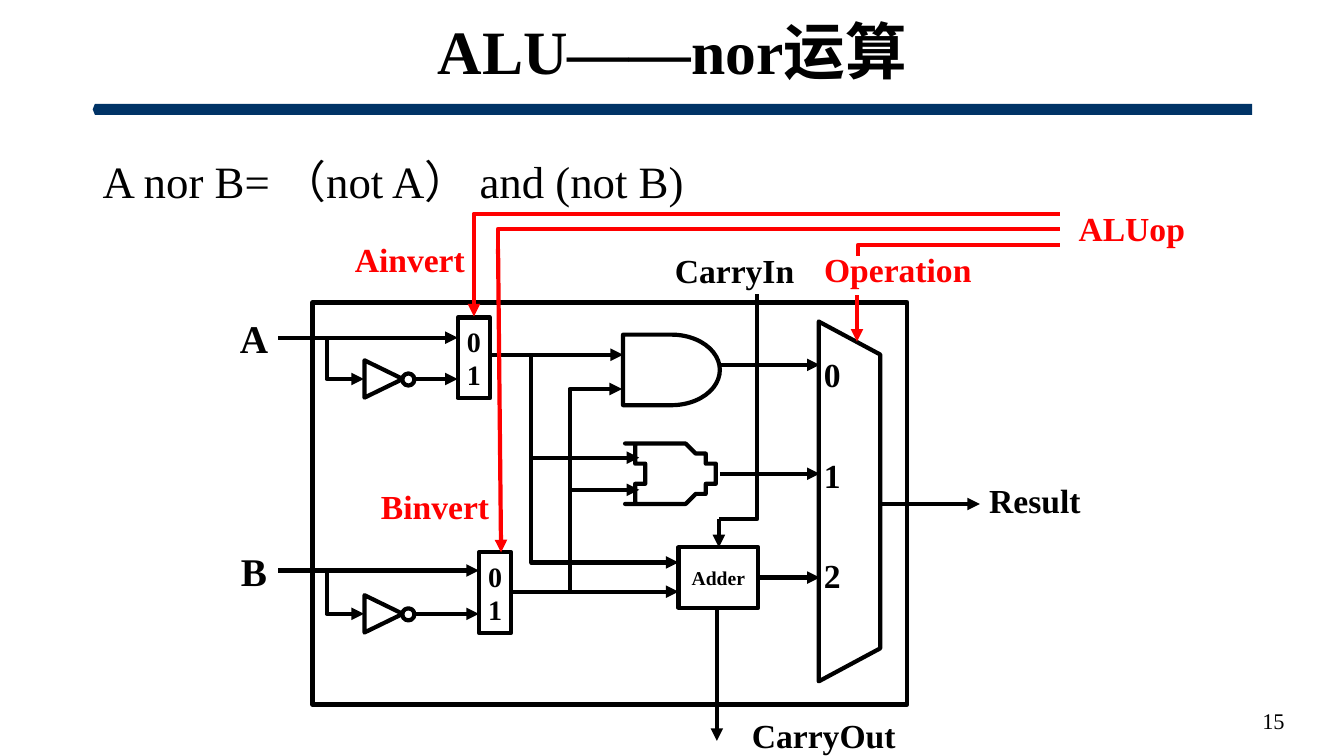
from lxml.etree import SubElement
from pptx import Presentation
from pptx.dml.color import RGBColor
from pptx.enum.shapes import MSO_CONNECTOR, MSO_SHAPE
from pptx.enum.text import MSO_ANCHOR, PP_ALIGN
from pptx.oxml.ns import qn
from pptx.util import Inches, Pt

THEME = {
    "font": "Times New Roman",
    "ink": RGBColor(0, 0, 0), "control": RGBColor(255, 0, 0),
    "paper": RGBColor(255, 255, 255), "bar": RGBColor(0, 51, 102),
    "title": 44, "body": 32, "input": 28, "label": 24, "mux": 20, "page": 16, "adder": 14,
    "stroke": Pt(3),
}
CELL = Inches(0.1)
COLS, ROWS = 133.3, 75

deck = Presentation()
deck.slide_width, deck.slide_height = int(COLS * CELL), int(ROWS * CELL)
slide = deck.slides.add_slide(deck.slide_layouts[6])
shapes = slide.shapes


def write(holder, lines, size, color="ink", bold=True, align=PP_ALIGN.CENTER,
          anchor=MSO_ANCHOR.MIDDLE, inset=0, wrap=False, spacing=1.0):
    frame = holder.text_frame
    frame.word_wrap, frame.vertical_anchor = wrap, anchor
    frame.margin_left = frame.margin_right = int(inset * CELL)
    frame.margin_top = frame.margin_bottom = int(inset * CELL / 2)
    for number, line in enumerate(lines):
        paragraph = frame.add_paragraph() if number else frame.paragraphs[0]
        paragraph.alignment, paragraph.line_spacing = align, spacing
        run = paragraph.add_run()
        run.text = line
        run.font.name, run.font.size, run.font.bold = THEME["font"], Pt(THEME[size]), bold
        run.font.color.rgb = THEME[color]


def wire(start, end, color="ink", arrow=True):
    straight = start[0] == end[0] or start[1] == end[1] or abs(start[0] - end[0]) < 0.5
    kind = MSO_CONNECTOR.STRAIGHT if straight else MSO_CONNECTOR.ELBOW
    link = shapes.add_connector(kind, *(int(n * CELL) for n in (*start, *end)))
    link.line.color.rgb, link.line.width = THEME[color], THEME["stroke"]
    properties = link._element.spPr
    if not straight:
        guides = properties.find(qn("a:prstGeom")).find(qn("a:avLst"))
        SubElement(guides, qn("a:gd"), name="adj1", fmla="val 0")
    if arrow:
        SubElement(properties.find(qn("a:ln")), qn("a:tailEnd"), type="triangle")
    SubElement(properties, qn("a:effectLst"))


bar = shapes.add_shape(MSO_SHAPE.PENTAGON, *(int(n * CELL) for n in (9.2, 10.3, 115, 1.1)))
bar.adjustments[0] = 0.2
bar._element.spPr.find(qn("a:xfrm")).set("flipH", "1")
bar.shadow.inherit = False
bar.fill.solid()
bar.fill.fore_color.rgb = THEME["bar"]
bar.line.fill.background()

headings = [
    ((9.2, 1.3, 115, 8.2), "ALU——nor运算",
     dict(size="title", spacing=0.9)),
    ((9.2, 12.1, 115, 55.5), "A nor B= （not A） and (not B)",
     dict(size="body", bold=False, align=PP_ALIGN.LEFT, anchor=MSO_ANCHOR.TOP, spacing=1.5)),
    ((98.4, 69.5, 30, 4), "15",
     dict(size="page", bold=False, align=PP_ALIGN.RIGHT)),
]
for box, text, style in headings:
    write(shapes.add_textbox(*(int(n * CELL) for n in box)), [text], inset=1, wrap=True, **style)

inputs = [("A", 45.4, 31.5, 33.5), ("B", 47.5, 54.8, 56.6)]
parts = [
    (MSO_SHAPE.RECTANGLE, (31, 30, 59, 39.9), 0, []),
    (MSO_SHAPE.FLOWCHART_DELAY, (61.8, 33.2, 9.6, 7), 0, []),
    (MSO_SHAPE.RECTANGLE, (67.3, 54.3, 7.9, 6), 0, ["Adder"]),
    (MSO_SHAPE.TRAPEZOID, (66.4, 46.7, 35.7, 6.1), 90, []),
]
for name, mux_left, mux_top, input_row in inputs:
    parts += [
        (MSO_SHAPE.ISOSCELES_TRIANGLE, (36.2, mux_top + 4.2, 3.7, 3.8), 90, []),
        (MSO_SHAPE.OVAL, (39.9, mux_top + 5.55, 1.2, 1.2), 0, []),
        (MSO_SHAPE.RECTANGLE, (mux_left, mux_top, 3.2, 8), 0, ["0", "1"]),
    ]

or_curves = [
    ((61.8, 43.5), (67.2, 43.4), (71.4, 45.5), (71.4, 47)),
    ((71.4, 47), (71.4, 48.5), (67, 50.4), (61.8, 50.5)),
    ((61.8, 50.5), (63.4, 49), (63.5, 48.2), (63.7, 46.9)),
    ((63.7, 46.9), (63.6, 45.6), (63.4, 45), (61.8, 43.5)),
]
STEPS = 16
outline = [
    tuple(a * (1 - t) ** 3 + 3 * b * t * (1 - t) ** 2 + 3 * c * t * t * (1 - t) + d * t ** 3
          for a, b, c, d in zip(*curve))
    for curve in or_curves for t in (step / STEPS for step in range(STEPS))
]

blocks = []
for preset, box, turn, lines in parts:
    block = shapes.add_shape(preset, *(int(n * CELL) for n in box))
    block.rotation = turn
    if preset == MSO_SHAPE.TRAPEZOID:
        block.adjustments[0] = 0.537
    write(block, lines, "adder" if lines == ["Adder"] else "mux")
    blocks.append(block)
gate = shapes.build_freeform(*outline[0], scale=CELL)
gate.add_line_segments(outline[1:], close=True)
blocks.append(gate.convert_to_shape())
for block in blocks:
    block.shadow.inherit = False
    block.fill.solid()
    block.fill.fore_color.rgb = THEME["paper"]
    block.line.color.rgb, block.line.width = THEME["ink"], THEME["stroke"]

for name, mux_left, mux_top, input_row in inputs:
    inverse_row = mux_top + 6.1
    wire((27.6, input_row), (mux_left, input_row))
    wire((32.4, input_row), (36.1, inverse_row))
    wire((41.1, inverse_row), (mux_left, inverse_row))

data_wires = [
    ((48.8, 35.2), (61.8, 35.2)), ((50.7, 58.7), (67.3, 58.7)),
    ((52.7, 35.2), (63.4, 45.4)), ((52.7, 45.1), (67.3, 55.8)),
    ((56.5, 58.7), (63.4, 48.6)), ((56.5, 51.6), (61.7, 38.6)),
    ((71.4, 36.2), (81.3, 36.2)), ((71.4, 47), (81.3, 47)), ((75.2, 57.3), (81.3, 57.3)),
    ((71.1, 60.3), (71.1, 73.5)), ((87.3, 50), (97.2, 50)), ((71.3, 51.5), (71.3, 54.3)),
]
for start, end in data_wires:
    wire(start, end)
wire((75.1, 29.2), (71.3, 51.5), arrow=False)

for start, end in [((47, 25.2), (47, 31.4)), ((49.4, 24.7), (49.7, 54.8)), ((85, 29.3), (85, 33.9))]:
    wire(start, end, "control")
for start, row in [((47, 25.4), 21.2), ((49.4, 25.5), 22.7), ((85.1, 25.4), 24.3)]:
    wire(start, (105.1, row), "control", arrow=False)

labels = [
    ("CarryIn", 66.6, 24.8, 12.5, "ink"), ("CarryOut", 74.4, 70.9, 14.6, "ink"),
    ("Result", 97.8, 47.6, 9.7, "ink"), ("Operation", 81.7, 24.7, 14.7, "control"),
    ("Ainvert", 34.8, 23.7, 11.7, "control"), ("Binvert", 37.1, 48.2, 12.1, "control"),
    ("ALUop", 104.9, 20.6, 14.7, "control"),
]
labels += [(str(choice), 81.4, 35.1 + 10 * choice, 2.3, "ink") for choice in range(3)]
for text, left, top, width, color in labels:
    write(shapes.add_textbox(*(int(n * CELL) for n in (left, top, width, 4))), [text], "label", color)
for name, mux_left, mux_top, input_row in inputs:
    write(shapes.add_textbox(*(int(n * CELL) for n in (23.4, input_row - 2.35, 3.6, 4.7))), [name], "input")

deck.save("out.pptx")
